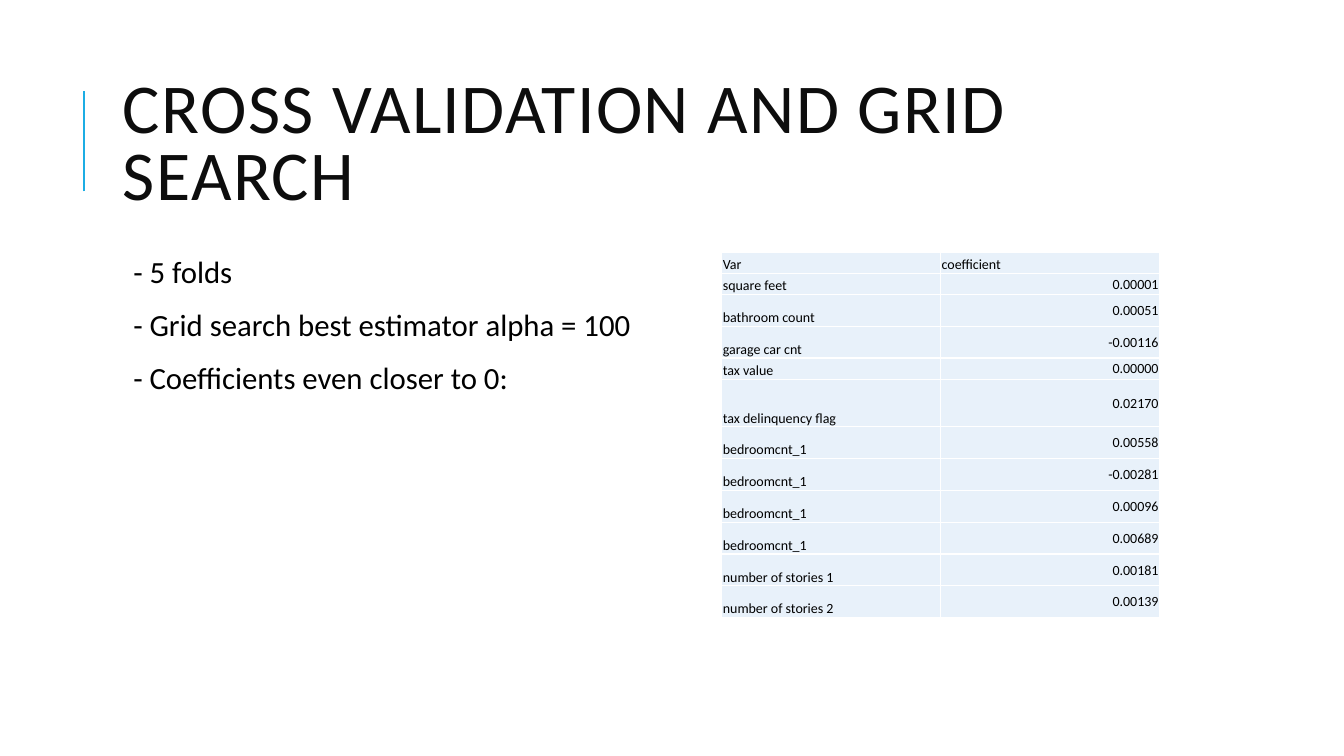
from dataclasses import dataclass

from lxml.etree import SubElement
from pptx import Presentation
from pptx.dml.color import RGBColor
from pptx.enum.shapes import MSO_CONNECTOR
from pptx.enum.text import MSO_ANCHOR as Anchor, MSO_AUTO_SIZE as AutoSize, PP_ALIGN as Align
from pptx.oxml.ns import qn
from pptx.slide import Slide
from pptx.util import Emu, Inches, Pt

BLACK = RGBColor(0x00, 0x00, 0x00)
INK = RGBColor(0x0D, 0x0D, 0x0D)
ACCENT = RGBColor(0x1C, 0xAD, 0xE4)
WHITE = RGBColor(0xFF, 0xFF, 0xFF)
PALE = RGBColor(0xE8, 0xF1, 0xFA)
FONT = "Calibri"
SLIDE_W, SLIDE_H = Inches(13.33), Inches(7.5)

# Row heights in grid units
LOW, MID, HIGH = 4, 6, 9


@dataclass(frozen=True)
class Box:
    """Area in percent of the slide's width and height."""
    x: float
    y: float
    w: float
    h: float

    def emu(self) -> tuple[Emu, Emu, Emu, Emu]:
        return (Emu(int(SLIDE_W * self.x / 100)), Emu(int(SLIDE_H * self.y / 100)),
                Emu(int(SLIDE_W * self.w / 100)), Emu(int(SLIDE_H * self.h / 100)))


@dataclass(frozen=True)
class Entry:
    var: str
    coefficient: str
    units: int = MID


RULE = Box(6.23, 12, 0, 13.33)
TITLE = Box(8.4, 8.53, 79.74, 21.87)
BODY = Box(8.4, 33.33, 79.74, 58.67)
TABLE = Box(53.71, 33.33, 32.56, 48.4)

POINTS = [
    "- 5 folds",
    "- Grid search best estimator alpha = 100",
    "- Coefficients even closer to 0:",
]
ENTRIES = [
    Entry("Var", "coefficient", LOW),
    Entry("square feet", "0.00001", LOW),
    Entry("bathroom count", "0.00051"),
    Entry("garage car cnt", "-0.00116"),
    Entry("tax value", "0.00000", LOW),
    Entry("tax delinquency flag", "0.02170", HIGH),
    Entry("bedroomcnt_1", "0.00558"),
    Entry("bedroomcnt_1", "-0.00281"),
    Entry("bedroomcnt_1", "0.00096"),
    Entry("bedroomcnt_1", "0.00689"),
    Entry("number of stories 1", "0.00181"),
    Entry("number of stories 2", "0.00139"),
]


def style(p, size: float, color: RGBColor) -> None:
    for r in p.runs:
        r.font.name, r.font.size = FONT, Pt(size)
        r.font.color.rgb = color


def add_rule(s: Slide) -> None:
    x, y, w, h = RULE.emu()
    line = s.shapes.add_connector(MSO_CONNECTOR.STRAIGHT, x, y + h, x + w, y)
    line.line.color.rgb, line.line.width = ACCENT, Pt(1.5)
    SubElement(line._element.spPr, qn("a:effectLst"))


def set_title(s: Slide, text: str) -> None:
    sp = s.shapes.title
    sp.left, sp.top, sp.width, sp.height = TITLE.emu()
    tf = sp.text_frame
    tf.text = text
    tf.word_wrap, tf.auto_size = True, AutoSize.NONE
    tf.vertical_anchor = Anchor.MIDDLE
    p = tf.paragraphs[0]
    p.alignment, p.line_spacing = Align.LEFT, 0.8
    style(p, 50, INK)
    p.runs[0].font._element.set("spc", "100")


def add_points(s: Slide) -> None:
    tf = s.shapes.add_textbox(*BODY.emu()).text_frame
    tf.word_wrap = True
    tf.margin_left = tf.margin_right = tf.margin_top = tf.margin_bottom = Inches(0.05)
    tf.text = "\n".join(POINTS)
    for p in tf.paragraphs:
        p.line_spacing, p.space_before, p.space_after = 0.9, Pt(12), Pt(2)
        style(p, 22, BLACK)
        # Hanging indent with a blank bullet
        pPr = p._p.get_or_add_pPr()
        pPr.set("marL", str(Inches(0.1)))
        pPr.set("indent", str(-Inches(0.1)))
        SubElement(SubElement(pPr, qn("a:buClr")), qn("a:srgbClr"), val=str(ACCENT))
        SubElement(pPr, qn("a:buChar"), char=" ")


def fill_cell(cell, text: str, anchor: Anchor, align: Align) -> None:
    cell.text = text
    cell.vertical_anchor = anchor
    cell.margin_left = cell.margin_right = cell.margin_top = Inches(0.01)
    cell.margin_bottom = 0
    p = cell.text_frame.paragraphs[0]
    p.alignment = align
    style(p, 10, BLACK)
    # Borders come before the fill in the cell properties
    tcPr = cell._tc.get_or_add_tcPr()
    for side in ("lnL", "lnR", "lnT", "lnB"):
        ln = SubElement(tcPr, qn(f"a:{side}"), w=str(Pt(1)))
        SubElement(SubElement(ln, qn("a:solidFill")), qn("a:srgbClr"), val=str(WHITE))
    cell.fill.solid()
    cell.fill.fore_color.rgb = PALE


def add_coefficients(s: Slide) -> None:
    x, y, w, h = TABLE.emu()
    table = s.shapes.add_table(len(ENTRIES), 2, x, y, w, h).table
    table.first_row = table.horz_banding = False
    unit = h / sum(e.units for e in ENTRIES)
    for i, e in enumerate(ENTRIES):
        table.rows[i].height = Emu(int(unit * e.units))
        number = (Anchor.MIDDLE, Align.RIGHT) if i else (Anchor.BOTTOM, Align.LEFT)
        fill_cell(table.cell(i, 0), e.var, Anchor.BOTTOM, Align.LEFT)
        fill_cell(table.cell(i, 1), e.coefficient, *number)


def main() -> None:
    prs = Presentation()
    prs.slide_width, prs.slide_height = SLIDE_W, SLIDE_H
    s = prs.slides.add_slide(prs.slide_layouts[5])
    add_rule(s)
    set_title(s, "CROSS VALIDATION AND GRID SEARCH")
    add_points(s)
    add_coefficients(s)
    prs.save("out.pptx")


if __name__ == "__main__":
    main()
